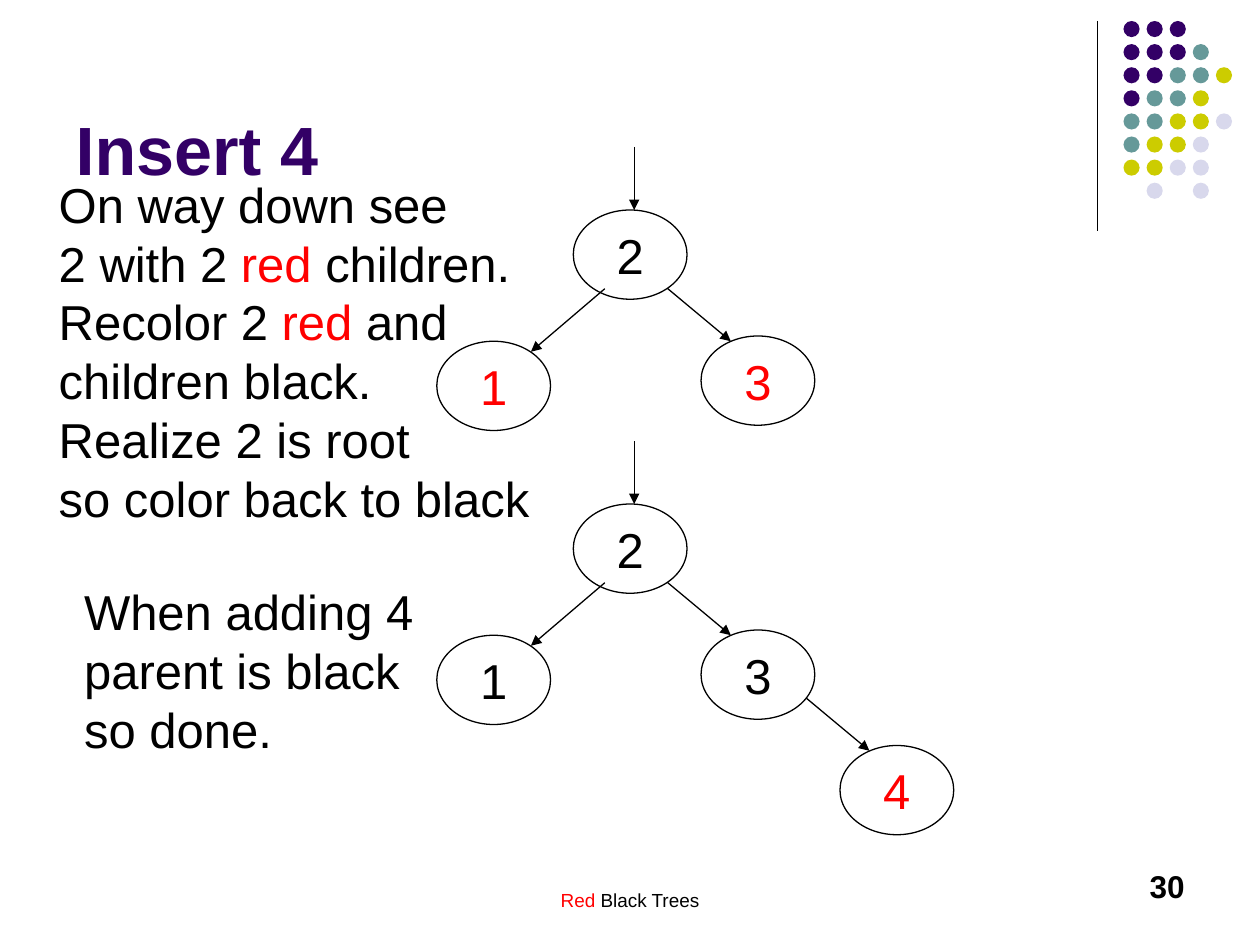
from lxml.etree import SubElement
from pptx import Presentation
from pptx.dml.color import RGBColor
from pptx.enum.shapes import MSO_CONNECTOR, MSO_SHAPE
from pptx.enum.text import MSO_ANCHOR, MSO_AUTO_SIZE, PP_ALIGN
from pptx.oxml.ns import qn
from pptx.util import Pt

BLACK, RED, PURPLE = "000000", "FF0000", "330066"
DOT_COLORS = {"P": PURPLE, "T": "669999", "Y": "CCCC00", "L": "D8D8EC"}


def write(shape, text, size=28, color=BLACK, bold=False, align=PP_ALIGN.LEFT,
          anchor=MSO_ANCHOR.TOP, wrap=False):
    """Fill a shape with text; newlines are line breaks, *starred* parts are red."""
    frame = shape.text_frame
    frame.auto_size = MSO_AUTO_SIZE.NONE
    frame.word_wrap = wrap
    frame.vertical_anchor = anchor
    paragraph = frame.paragraphs[0]
    paragraph.alignment = align
    for part_number, part in enumerate(text.split("*")):
        for line_number, line in enumerate(part.split("\n")):
            if line_number:
                paragraph.add_line_break()
            if not line:
                continue
            run = paragraph.add_run()
            run.text = line
            run.font.name = "Arial"
            run.font.size = Pt(size)
            run.font.bold = bold
            run.font.color.rgb = RGBColor.from_string(RED if part_number % 2 else color)


def add_line(slide, x1, y1, x2, y2, arrow=True):
    line = slide.shapes.add_connector(
        MSO_CONNECTOR.STRAIGHT, Pt(x1), Pt(y1), Pt(x2), Pt(y2))
    line.line.color.rgb = RGBColor.from_string(BLACK)
    line.line.width = Pt(0.75)
    if arrow:
        SubElement(line.line._get_or_add_ln(), qn("a:tailEnd"), type="triangle")
    SubElement(line._element.spPr, qn("a:effectLst"))


presentation = Presentation()
presentation.slide_width, presentation.slide_height = Pt(720), Pt(540)
slide = presentation.slides.add_slide(presentation.slide_layouts[5])

# Corner decoration
add_line(slide, 627, 12, 627, 132, arrow=False)
dot_rows = ["PPP", "PPPT", "PPTTY", "PTTY", "TTYYL", "TYYL", "YYLL", " L L"]
for row, letters in enumerate(dot_rows):
    for column, letter in enumerate(letters):
        if letter == " ":
            continue
        dot = slide.shapes.add_shape(
            MSO_SHAPE.OVAL, Pt(642 + 13.2 * column), Pt(12 + 13.2 * row), Pt(9.2), Pt(9.2))
        dot.shadow.inherit = False
        dot.fill.solid()
        dot.fill.fore_color.rgb = RGBColor.from_string(DOT_COLORS[letter])
        dot.line.fill.background()

# Title
title = slide.shapes.title
title.left, title.top, title.width, title.height = Pt(36), Pt(9.6), Pt(594), Pt(102)
write(title, "Insert 4", size=39, color=PURPLE, bold=True,
      anchor=MSO_ANCHOR.BOTTOM, wrap=True)

# Explanations, footer and slide number
explanation = ("On way down see\n2 with 2 *red* children.\nRecolor 2 *red* and\n"
               "children black.\nRealize 2 is root\nso color back to black")
conclusion = "When adding 4\nparent is black\nso done."
text_boxes = [
    (26.5, 96, 283, 209, explanation, {}),
    (41, 329, 202, 108, conclusion, {}),
    (246, 504.4, 228, 24, "*Red* Black Trees",
     {"size": 10.8, "align": PP_ALIGN.CENTER, "wrap": True}),
    (516, 492, 168, 36, "30",
     {"size": 18, "bold": True, "align": PP_ALIGN.RIGHT, "wrap": True}),
]
for left, top, width, height, text, text_format in text_boxes:
    box = slide.shapes.add_textbox(Pt(left), Pt(top), Pt(width), Pt(height))
    write(box, text, **text_format)

# Trees before and after the insertion
nodes = []
for tree_top, child_color in [(84, RED), (252, BLACK)]:
    nodes += [
        (327.6, tree_top + 36, "2", BLACK),
        (249.6, tree_top + 111, "1", child_color),
        (400.6, tree_top + 108, "3", child_color),
    ]
    add_line(slide, 362.4, tree_top, 362.4, tree_top + 36)
    add_line(slide, 381.6, tree_top + 81, 417.6, tree_top + 111)
    add_line(slide, 345.6, tree_top + 81, 303.4, tree_top + 117)
nodes.append((480, 426, "4", RED))
add_line(slide, 460.8, 399, 496.8, 429)

for left, top, value, color in nodes:
    node = slide.shapes.add_shape(MSO_SHAPE.OVAL, Pt(left), Pt(top), Pt(65), Pt(51))
    node.shadow.inherit = False
    node.fill.background()
    node.line.color.rgb = RGBColor.from_string(BLACK)
    node.line.width = Pt(0.75)
    write(node, value, color=color, align=PP_ALIGN.CENTER, anchor=MSO_ANCHOR.MIDDLE)

presentation.save("out.pptx")
